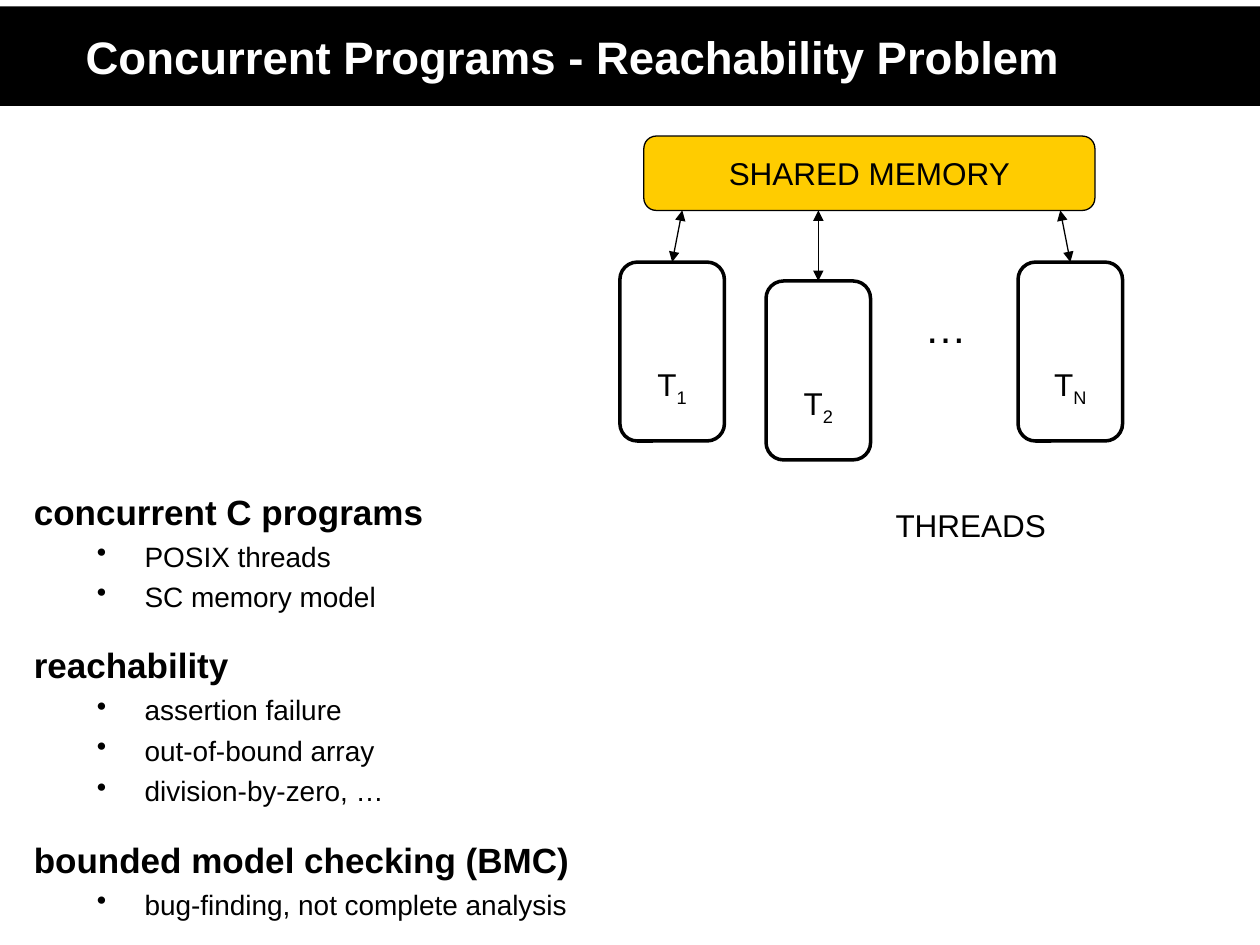
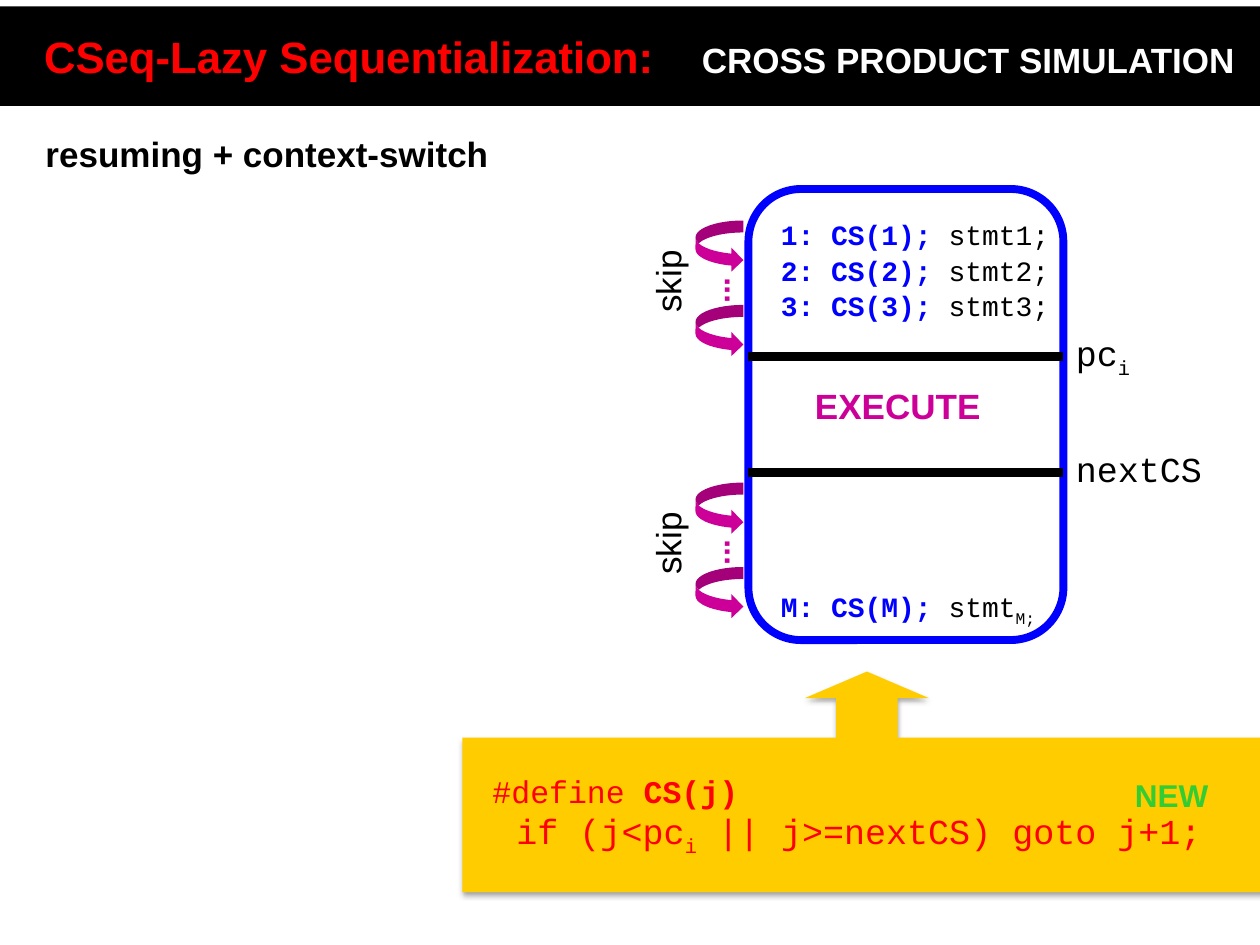
from lxml.etree import SubElement
from pptx import Presentation
from pptx.dml.color import RGBColor
from pptx.enum.shapes import MSO_CONNECTOR, MSO_SHAPE
from pptx.enum.text import MSO_ANCHOR, PP_ALIGN
from pptx.oxml import parse_xml
from pptx.oxml.ns import nsdecls, qn
from pptx.util import Inches, Pt

BLACK, WHITE, RED, BLUE = "000000", "FFFFFF", "FF0000", "0000FF"
GOLD, MAGENTA, GREEN = "FFCC00", "CC0099", "33CC33"
SANS, MONO = "Arial", "Courier New"
SUBSCRIPT = {"baseline": -25}


def rgb(value):
    return RGBColor.from_string(value)


def style_font(font, name=None, size=None, color=None, bold=None):
    if name:
        font.name = name
    if size:
        font.size = Pt(size)
    if color:
        font.color.rgb = rgb(color)
    if bold is not None:
        font.bold = bold


def write(paragraph, runs, size, color=BLACK, name=SANS, bold=False, align=PP_ALIGN.LEFT):
    """Fill a paragraph with plain text or with (text, differences) runs."""
    style_font(paragraph.font, name, size, color, bold)
    paragraph.alignment = align
    if isinstance(runs, str):
        runs = [(runs, {})]
    for text, differences in runs:
        run = paragraph.add_run()
        run.text = text
        differences = dict(differences)
        baseline = differences.pop("baseline", None)
        style_font(run.font, **differences)
        if baseline:
            run.font._element.set("baseline", str(baseline * 1000))


def add_ppr_child(paragraph, xml_tag, **attributes):
    """Put a bullet or tab list in front of the paragraph's default font."""
    child = parse_xml(f"<a:{xml_tag} {nsdecls('a')}/>")
    for key, value in attributes.items():
        child.set(key, value)
    paragraph._p.get_or_add_pPr().insert(0, child)
    return child


def set_indent(paragraph, left, first=0):
    properties = paragraph._p.get_or_add_pPr()
    properties.set("marL", str(Inches(left)))
    properties.set("indent", str(Inches(first)))


def add_text(slide, box, runs=None, size=18, rotation=0, anchor=MSO_ANCHOR.TOP, **style):
    text_box = slide.shapes.add_textbox(*map(Inches, box))
    text_box.rotation = rotation
    frame = text_box.text_frame
    frame.word_wrap = True
    frame.vertical_anchor = anchor
    if runs:
        write(frame.paragraphs[0], runs, size, **style)
    return frame


def add_shape(slide, kind, box, fill, line=None, width=0.75):
    shape = slide.shapes.add_shape(kind, *map(Inches, box))
    shape.shadow.inherit = False
    shape.fill.solid()
    shape.fill.fore_color.rgb = rgb(fill)
    if line:
        shape.line.color.rgb = rgb(line)
        shape.line.width = Pt(width)
    else:
        shape.line.fill.background()
    shape.text_frame.vertical_anchor = MSO_ANCHOR.MIDDLE
    return shape


def add_line(slide, start, end, width, arrows=False):
    line = slide.shapes.add_connector(MSO_CONNECTOR.STRAIGHT, *map(Inches, start + end))
    line.line.color.rgb = rgb(BLACK)
    line.line.width = Pt(width)
    if arrows:
        for tag in ("a:headEnd", "a:tailEnd"):
            SubElement(line.line._get_or_add_ln(), qn(tag), type="triangle")
    SubElement(line._element.spPr, qn("a:effectLst"))


def add_title(slide, runs, size, color, left):
    band = add_shape(slide, MSO_SHAPE.RECTANGLE, (0, 0.05, 10, 0.79), BLACK)
    band.text_frame.margin_left = Inches(left)
    paragraph = band.text_frame.paragraphs[0]
    write(paragraph, runs, size, color, bold=True)
    return paragraph


# Slide 1: outline and thread diagram
OUTLINE = [
    ("concurrent C programs", ["POSIX threads", "SC memory model"]),
    ("reachability", ["assertion failure", "out-of-bound array", "division-by-zero, …"]),
    ("bounded model checking (BMC)", ["bug-finding, not complete analysis"]),
]


def draw_outline(slide, left, top):
    frame = add_text(slide, (left, top, 5.5, 3.5))
    paragraph = frame.paragraphs[0]
    for number, (heading, items) in enumerate(OUTLINE):
        if number:
            paragraph = frame.add_paragraph()
            paragraph.space_before = Pt(17.5)
        write(paragraph, heading, 20, bold=True)
        for item in items:
            paragraph = frame.add_paragraph()
            write(paragraph, item, 16)
            add_ppr_child(paragraph, "buChar", char="•")
            set_indent(paragraph, 0.88, -0.38)
            paragraph.space_before = Pt(4)


def draw_threads(slide, left, top):
    # Shared memory
    memory_bottom = top + 0.59
    memory = add_shape(slide, MSO_SHAPE.ROUNDED_RECTANGLE, (left + 0.19, top, 3.58, 0.59), GOLD, BLACK)
    write(memory.text_frame.paragraphs[0], "SHARED MEMORY", 18, align=PP_ALIGN.CENTER)

    # Threads: index, offset from the diagram's corner, lean of the arrow
    width, height = 0.83, 1.42
    for index, across, down, lean in (("1", 0, 1, 0.08), ("2", 1.16, 1.15, 0), ("N", 3.16, 1, -0.08)):
        x, y = left + across, top + down
        thread = add_shape(slide, MSO_SHAPE.ROUNDED_RECTANGLE, (x, y, width, height), WHITE, BLACK, 2)
        frame = thread.text_frame
        frame.vertical_anchor = MSO_ANCHOR.BOTTOM
        frame.margin_bottom = Inches(0.22)
        write(frame.paragraphs[0], [("T", {}), (index, SUBSCRIPT)], 18, align=PP_ALIGN.CENTER)
        center = x + width / 2
        add_line(slide, (center, y), (center + lean, memory_bottom), 0.75, arrows=True)

    add_text(slide, (left + 2, top + 1.26, 1.17, 0.5), "…", 24, align=PP_ALIGN.CENTER)
    add_text(slide, (left + 1.16, top + 2.84, 2.32, 0.5), "THREADS", 18,
             anchor=MSO_ANCHOR.MIDDLE, align=PP_ALIGN.RIGHT)


def build_reachability(slide):
    add_title(slide, "Concurrent Programs - Reachability Problem", 26, WHITE, 0.68)
    draw_outline(slide, 0.17, 3.84)
    draw_threads(slide, 4.92, 1.08)


# Slide 2: simulation of one thread
def code_line(label, statement):
    return [(f"{label}: CS({label}); ", {"color": BLUE, "bold": True}), (statement, {})]


def draw_skip(slide, left, top):
    """Two curved arrows with dots between them and a label on the left."""
    for offset in (0, 0.67):
        add_shape(slide, MSO_SHAPE.CURVED_RIGHT_ARROW, (left, top + offset, 0.38, 0.41), MAGENTA)
    dots = add_text(slide, (left - 0.08, top + 0.22, 0.5, 0.67), "...", 18, rotation=270,
                    anchor=MSO_ANCHOR.MIDDLE, color=MAGENTA, bold=True, align=PP_ALIGN.CENTER)
    dots.margin_top = dots.margin_bottom = 0
    add_text(slide, (left - 0.68, top + 0.15, 0.92, 0.44), "skip", 20, rotation=270)


def draw_thread_body(slide, left, top):
    width = 2.5
    right = left + width
    add_shape(slide, MSO_SHAPE.ROUNDED_RECTANGLE, (left, top, width, 3.58), WHITE, BLUE, 4.5)

    # Statements
    code_left = left + 0.16
    frame = add_text(slide, (code_left, top + 0.18, 2.4, 0.95))
    for number in (1, 2, 3):
        paragraph = frame.paragraphs[0] if number == 1 else frame.add_paragraph()
        write(paragraph, code_line(number, f"stmt{number};"), 16, name=MONO)
        paragraph.space_before = Pt(1 if number > 1 else 0)
    add_text(slide, (left + 0.43, top + 1.5, 1.6, 0.44), "EXECUTE", 20, color=MAGENTA, bold=True)
    add_text(slide, (code_left, top + 3.13, 2.4, 0.4),
             code_line("M", "stmt") + [("M;", SUBSCRIPT)], 16, name=MONO)

    # Borders of the executed part
    for offset, label in ((1.33, [("pc", {}), ("i", SUBSCRIPT)]), (2.25, "nextCS")):
        y = top + offset
        add_line(slide, (left, y), (right, y), 5)
        add_text(slide, (right, y - 0.25, 1.4, 0.44), label, 20, name=MONO)

    # Skipped parts
    for offset in (0.25, 2.33):
        draw_skip(slide, left - 0.42, top + offset)


def draw_macro(slide, left, top):
    callout = add_shape(slide, MSO_SHAPE.UP_ARROW_CALLOUT, (left, top, 6.42, 1.75), GOLD)
    for index, value in enumerate((0.28, 0.28, 0.12, 0.7)):
        callout.adjustments[index] = value
    effects = callout._element.spPr.find(qn("a:effectLst"))
    shadow = SubElement(effects, qn("a:outerShdw"), blurRad=str(Pt(3.1)), dist=str(Pt(1.8)),
                        dir="5400000", rotWithShape="0")
    SubElement(SubElement(shadow, qn("a:srgbClr"), val=BLACK), qn("a:alpha"), val="35000")

    frame = callout.text_frame
    define = frame.paragraphs[0]
    write(define, [("#define ", {}), ("CS(j)", {"bold": True})], 18, RED, MONO)
    set_indent(define, 0.14)
    condition = frame.add_paragraph()
    write(condition, [("if (j<pc", {}), ("i", SUBSCRIPT), (" || j>=nextCS) goto j+1;", {})], 20, RED, MONO)
    set_indent(condition, 0.33)
    add_text(slide, (left + 5.24, top + 0.78, 0.9, 0.4), "NEW", 18, color=GREEN, bold=True)


def build_simulation(slide):
    title = add_title(slide, [("CSeq-Lazy Sequentialization:\t", {}),
                              ("CROSS PRODUCT SIMULATION", {"size": 20, "color": WHITE})], 25, RED, 0.35)
    tabs = add_ppr_child(title, "tabLst")
    SubElement(tabs, qn("a:tab"), pos=str(Inches(5.22)), algn="l")
    add_text(slide, (0.08, 1, 4.08, 0.44), "resuming + context-switch", 20, bold=True, align=PP_ALIGN.CENTER)
    draw_thread_body(slide, 5.94, 1.5)
    draw_macro(slide, 3.67, 5.33)


def main():
    presentation = Presentation()
    presentation.slide_width, presentation.slide_height = Inches(10), Inches(7.5)
    for build in (build_reachability, build_simulation):
        build(presentation.slides.add_slide(presentation.slide_layouts[6]))
    presentation.save("out.pptx")


if __name__ == "__main__":
    main()
